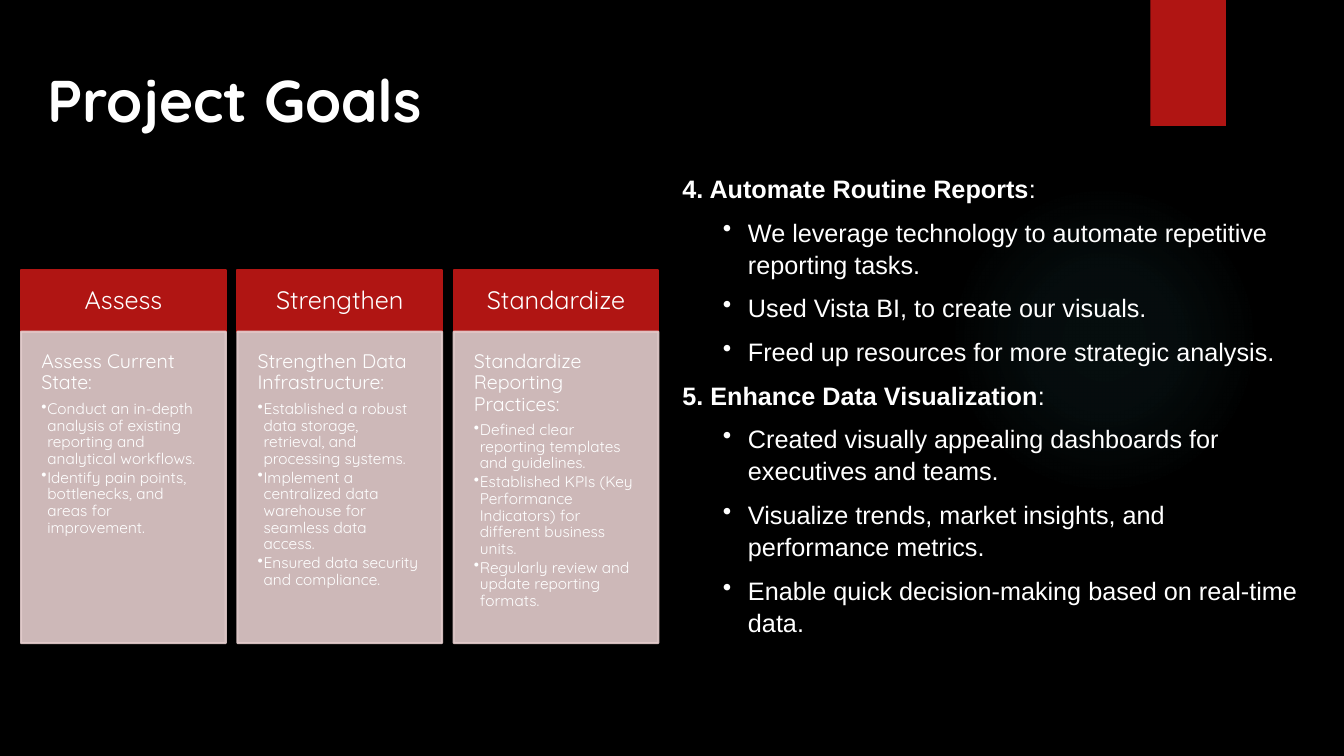
from lxml import etree
from pptx import Presentation
from pptx.dml.color import RGBColor
from pptx.enum.shapes import MSO_SHAPE
from pptx.enum.text import MSO_ANCHOR, PP_ALIGN
from pptx.oxml.ns import qn
from pptx.util import Inches, Pt

RECT, OVAL = MSO_SHAPE.RECTANGLE, MSO_SHAPE.OVAL
TOP, MIDDLE = MSO_ANCHOR.TOP, MSO_ANCHOR.MIDDLE
LEFT, CENTER = PP_ALIGN.LEFT, PP_ALIGN.CENTER

BLACK = RGBColor(0x00, 0x00, 0x00)
WHITE = RGBColor(0xFF, 0xFF, 0xFF)
RED = RGBColor(0xB0, 0x15, 0x13)
PINK = RGBColor(0xE4, 0xCC, 0xCC)
TEAL = RGBColor(0x50, 0xB9, 0xC1)

HEAD_FONT, BODY_FONT = "Quicksand", "Arial"
GLOW_STOPS = [(0, 7), (36, 6), (69, 0)]

CARD_LEFT, CARD_STEP, CARD_WIDTH = 0.21, 2.145, 2.03
CARDS = [
    ("Assess", "Assess Current State:", [
        "Conduct an in-depth analysis of existing reporting and analytical workflows.",
        "Identify pain points, bottlenecks, and areas for improvement."]),
    ("Strengthen", "Strengthen Data Infrastructure:", [
        "Established a robust data storage, retrieval, and processing systems.",
        "Implement a centralized data warehouse for seamless data access.",
        "Ensured data security and compliance."]),
    ("Standardize", "Standardize Reporting Practices:", [
        "Defined clear reporting templates and guidelines.",
        "Established KPIs (Key Performance Indicators) for different business units.",
        "Regularly review and update reporting formats."]),
]
GOALS = [
    ("4. Automate Routine Reports", [
        "We leverage technology to automate repetitive reporting tasks.",
        "Used Vista BI, to create our visuals.",
        "Freed up resources for more strategic analysis."]),
    ("5. Enhance Data Visualization", [
        "Created visually appealing dashboards for executives and teams.",
        "Visualize trends, market insights, and performance metrics.",
        "Enable quick decision-making based on real-time data."]),
]

CARD_HEAD = dict(alignment=CENTER, line_spacing=0.9)
CARD_LEAD = dict(alignment=LEFT, line_spacing=0.9, space_after=Pt(5))
CARD_ITEM = dict(alignment=LEFT, line_spacing=0.9, space_after=Pt(1.6), level=1)
GOAL_LEAD = dict(line_spacing=1.07, space_after=Pt(8))
GOAL_ITEM = dict(GOAL_LEAD, level=4)


def assign(target, values):
    for name, value in values.items():
        setattr(target, name, value)


def set_alpha(fill, percent):
    color = fill.find(".//" + qn("a:srgbClr"))
    etree.SubElement(color, qn("a:alpha"), val=str(percent * 1000))


def add_block(slide, kind, box, color, alpha=None, line=True):
    shape = slide.shapes.add_shape(kind, *map(Inches, box))
    shape.shadow.inherit = False
    shape.fill.solid()
    shape.fill.fore_color.rgb = color
    if line:
        shape.line.color.rgb = color
        shape.line.width = Pt(1.5)
    else:
        shape.line.fill.background()
    if alpha:
        props = shape._element.spPr
        set_alpha(props.find(qn("a:solidFill")), alpha)
        set_alpha(props.find(qn("a:ln")), alpha)
    return shape


def add_glow(slide, box):
    """Add a circle that fades out from its centre."""
    props = add_block(slide, OVAL, box, TEAL, line=False)._element.spPr
    grad = etree.Element(qn("a:gradFill"), rotWithShape="1")
    stops = etree.SubElement(grad, qn("a:gsLst"))
    for place, alpha in GLOW_STOPS:
        stop = etree.SubElement(stops, qn("a:gs"), pos=str(place * 1000))
        etree.SubElement(stop, qn("a:srgbClr"), val=str(TEAL))
        set_alpha(stop, alpha)
    way = etree.SubElement(grad, qn("a:path"), path="circle")
    etree.SubElement(way, qn("a:fillToRect"), l="50000", t="50000", r="50000", b="50000")
    props.replace(props.find(qn("a:solidFill")), grad)


def set_frame(shape, anchor, inset=None):
    frame = shape.text_frame
    assign(frame, dict(word_wrap=True, vertical_anchor=anchor))
    if inset:
        sides = ("left", "top", "right", "bottom")
        assign(frame, {"margin_" + side: Inches(inset) for side in sides})
    return frame


def add_para(frame, parts, font, size, style, bullet=None):
    """Add (text, bold) parts as one paragraph; bullet is (margin, hang) in inches."""
    para = frame.paragraphs[0]
    if para.runs:
        para = frame.add_paragraph()
    if bullet:
        props = para._p.get_or_add_pPr()
        margin, hang = map(Inches, bullet)
        props.set("marL", str(margin))
        props.set("indent", str(-hang))
        etree.SubElement(props, qn("a:buChar"), char="•")
    assign(para, style)
    for text, bold in parts:
        run = para.add_run()
        run.text = text
        assign(run.font, dict(name=font, size=Pt(size), bold=bold))
        run.font.color.rgb = WHITE


def add_card(slide, left, name, lead, items):
    head = add_block(slide, RECT, (left, 2.68, CARD_WIDTH, 0.61), RED)
    add_para(set_frame(head, MIDDLE, 0.16), [(name, False)], HEAD_FONT, 18, CARD_HEAD)
    panel = add_block(slide, RECT, (left, 3.29, CARD_WIDTH, 3.09), PINK, alpha=90)
    frame = set_frame(panel, TOP, 0.2)
    add_para(frame, [(lead, False)], HEAD_FONT, 14, CARD_LEAD)
    for item in items:
        add_para(frame, [(item, False)], HEAD_FONT, 11, CARD_ITEM, (0.06, 0.06))


def add_text(slide, box, anchor):
    return set_frame(slide.shapes.add_textbox(*map(Inches, box)), anchor)


def add_goals(slide):
    frame = add_text(slide, (6.67, 1.65, 6.32, 5.56), TOP)
    for lead, items in GOALS:
        add_para(frame, [(lead, True), (":", False)], BODY_FONT, 18, GOAL_LEAD)
        for item in items:
            add_para(frame, [(item, False)], BODY_FONT, 18, GOAL_ITEM, (0.65, 0.25))


def main():
    deck = Presentation()
    assign(deck, dict(slide_width=Inches(13.33), slide_height=Inches(7.5)))
    slide = deck.slides.add_slide(deck.slide_layouts[6])
    slide.background.fill.solid()
    slide.background.fill.fore_color.rgb = BLACK

    add_glow(slide, (9.41, 1.83, 3.08, 3.08))
    add_block(slide, RECT, (11.41, 0, 0.75, 1.25), RED, line=False)
    title = add_text(slide, (0.37, 0.57, 4.93, 0.83), MIDDLE)
    add_para(title, [("Project Goals", True)], HEAD_FONT, 42, {})
    for index, card in enumerate(CARDS):
        add_card(slide, CARD_LEFT + index * CARD_STEP, *card)
    add_goals(slide)
    deck.save("out.pptx")


if __name__ == "__main__":
    main()
